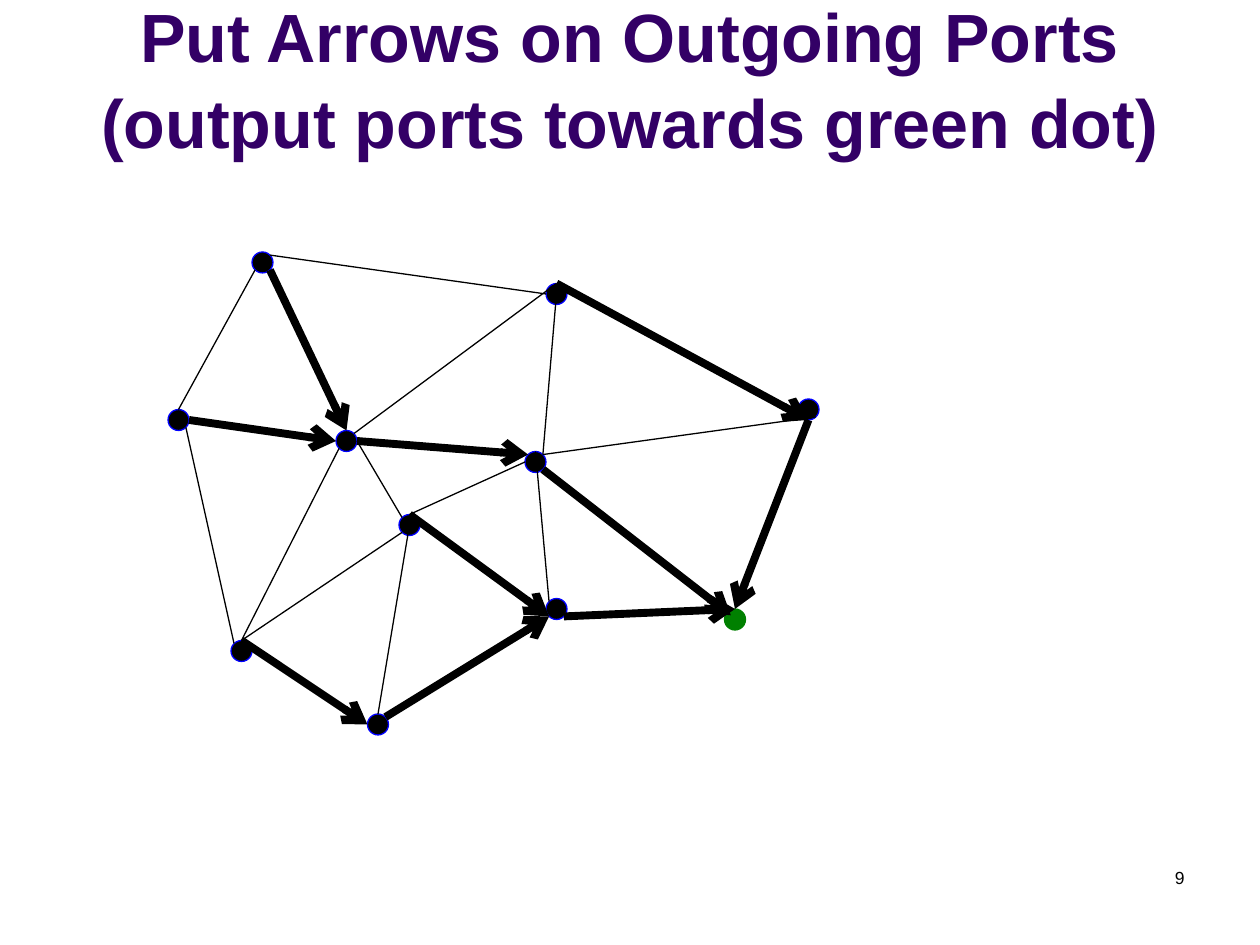
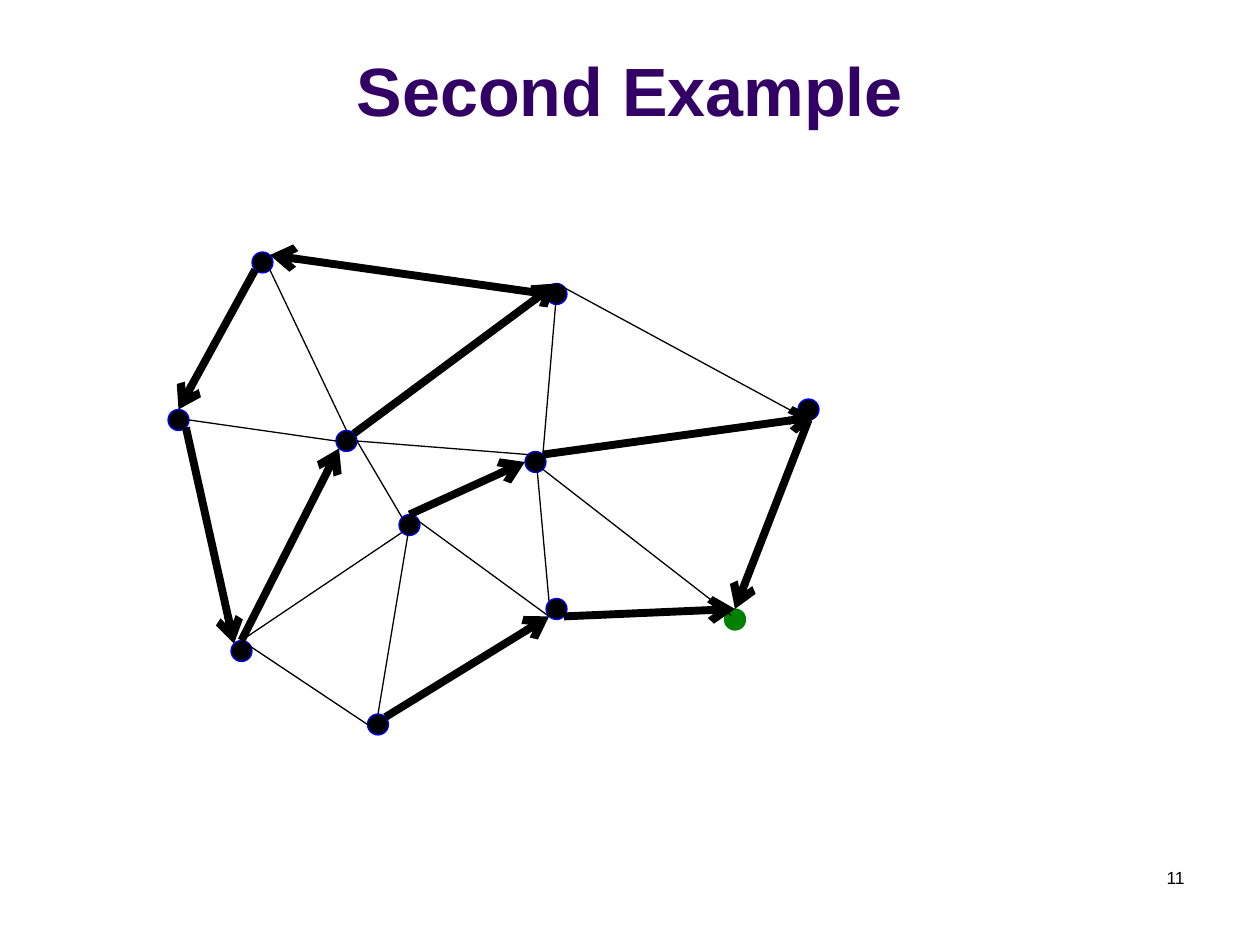
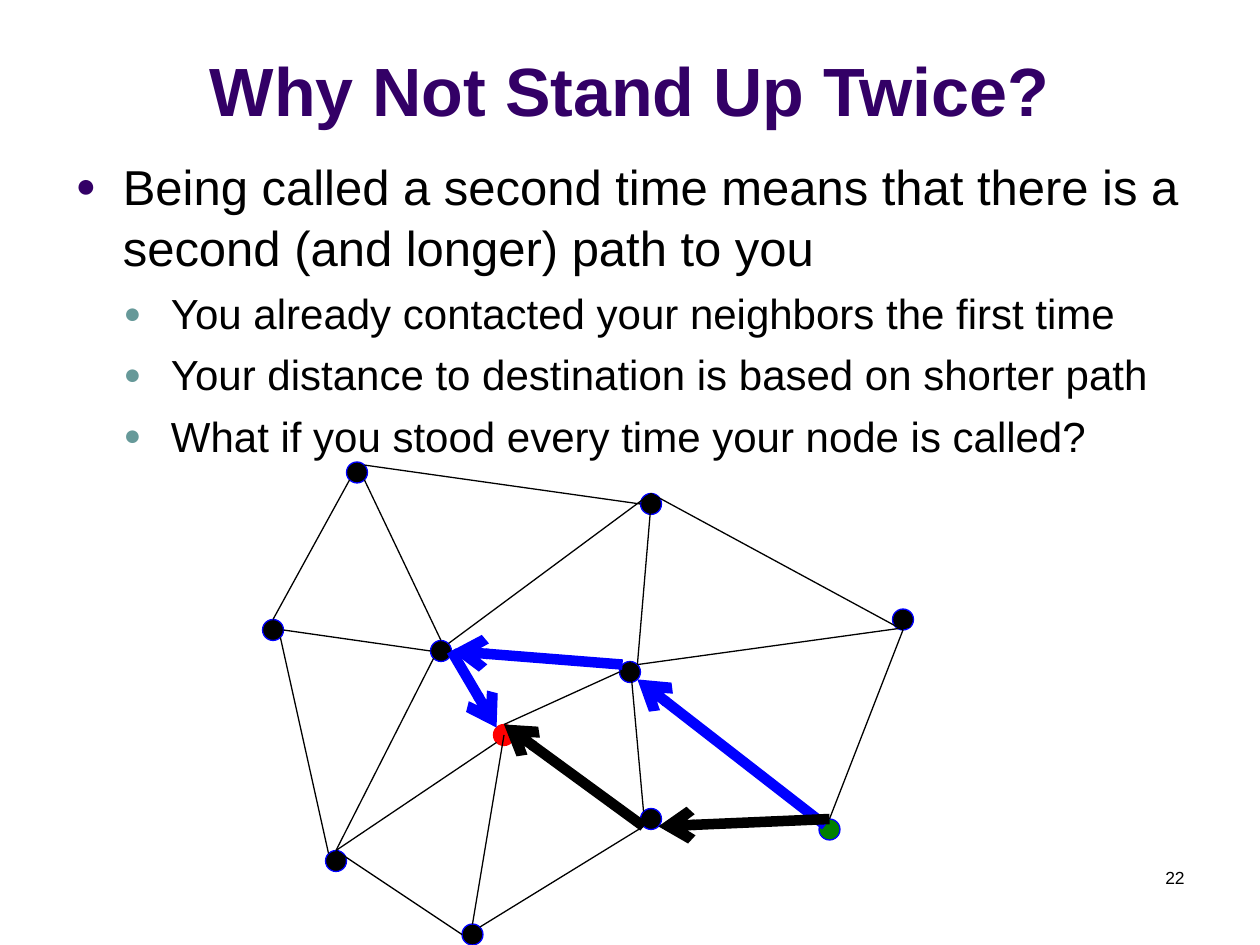
"""Builds three slides about routing on a network graph."""
from typing import NamedTuple

from lxml import etree
from pptx import Presentation
from pptx.dml.color import RGBColor
from pptx.enum.shapes import MSO_CONNECTOR, MSO_SHAPE
from pptx.enum.text import MSO_ANCHOR, MSO_AUTO_SIZE, PP_ALIGN
from pptx.oxml.ns import qn
from pptx.util import Pt

STRAIGHT = MSO_CONNECTOR.STRAIGHT
OVAL = MSO_SHAPE.OVAL
BOTTOM = MSO_ANCHOR.BOTTOM
FIXED = MSO_AUTO_SIZE.NONE
CENTER, RIGHT = PP_ALIGN.CENTER, PP_ALIGN.RIGHT

BLACK = RGBColor(0x00, 0x00, 0x00)
BLUE = RGBColor(0x00, 0x00, 0xFF)
GREEN = RGBColor(0x00, 0x80, 0x00)
RED = RGBColor(0xFF, 0x00, 0x00)
PURPLE = RGBColor(0x33, 0x00, 0x66)
TEAL = RGBColor(0x66, 0x99, 0x99)

FONT = "Arial"
LEADING = 1.05
RADIUS = 6
SLANT = 4.24
THIN = 0.75


class Edge(NamedTuple):
    """A link between two nodes, with the spot it touches on each."""
    start: str
    out: str
    end: str
    into: str


class Look(NamedTuple):
    """Fill and outline of a dot."""
    fill: RGBColor
    line: RGBColor


class Arrow(NamedTuple):
    """Colour and width of an arrow."""
    color: RGBColor
    width: float


class Level(NamedTuple):
    """Format of one list level."""
    size: float
    indent: float
    bullet: RGBColor


class Item(NamedTuple):
    """One entry of a list."""
    level: int
    text: str


SPOTS = {
    "N": (0, -RADIUS), "S": (0, RADIUS), "W": (-RADIUS, 0), "E": (RADIUS, 0),
    "NE": (SLANT, -SLANT), "NW": (-SLANT, -SLANT),
    "SE": (SLANT, SLANT), "SW": (-SLANT, SLANT),
    "MID": (0, 0), "INNER": (-2.4, -2.4),
}
NODES = {
    "A": (150, 150), "B": (102, 240), "C": (318, 168), "D": (318, 348),
    "E": (216, 414), "F": (198, 252), "G": (462, 234), "H": (234, 300),
    "I": (138, 372), "J": (306, 264), "K": (420, 354),
}
EDGES = [
    Edge("A", "SE", "F", "N"), Edge("A", "SW", "B", "N"),
    Edge("B", "SE", "I", "NW"), Edge("F", "E", "H", "NW"),
    Edge("J", "SE", "K", "INNER"), Edge("C", "MID", "J", "NE"),
    Edge("C", "N", "G", "S"), Edge("G", "S", "K", "N"),
    Edge("I", "N", "E", "W"), Edge("H", "N", "D", "SW"),
    Edge("K", "N", "D", "SE"), Edge("J", "N", "D", "NW"),
    Edge("H", "MID", "E", "N"), Edge("F", "E", "J", "NW"),
    Edge("B", "E", "F", "W"), Edge("I", "N", "H", "SW"),
    Edge("E", "NE", "D", "SW"), Edge("I", "N", "F", "SW"),
    Edge("H", "N", "J", "W"), Edge("J", "NE", "G", "SE"),
    Edge("A", "NE", "C", "W"), Edge("F", "NE", "C", "N"),
]
PLAIN = Look(BLACK, BLUE)
GOAL = {"K": Look(GREEN, GREEN)}
PORT = Arrow(BLACK, 4.5)
SHORT = Arrow(BLACK, 6)
LONG = Arrow(BLUE, 6)

LEVELS = [Level(28, 27, PURPLE), Level(24, 54.5, TEAL)]
HANG = 27
ITEMS = [
    Item(0, "Being called a second time means that there is a second "
            "(and longer) path to you"),
    Item(1, "You already contacted your neighbors the first time"),
    Item(1, "Your distance to destination is based on shorter path"),
    Item(1, "What if you stood every time your node is called?"),
]


def place(shape, left: float, top: float, width: float, height: float) -> None:
    """Move and size a shape."""
    shape.left, shape.top = Pt(left), Pt(top)
    shape.width, shape.height = Pt(width), Pt(height)


def write(para, text: str, size: float, color: RGBColor, bold: bool = False) -> None:
    """Add one run to a paragraph."""
    run = para.add_run()
    run.text = text
    run.font.name, run.font.size, run.font.bold = FONT, Pt(size), bold
    run.font.color.rgb = color


def start(deck, layout: int, lines: list[str], top: float, number: str):
    """Add a slide with its title and page number."""
    slide = deck.slides.add_slide(deck.slide_layouts[layout])
    title = slide.shapes.title
    place(title, 0, top, 720, 68.4)
    frame = title.text_frame
    frame.auto_size, frame.vertical_anchor = FIXED, BOTTOM
    para = frame.paragraphs[0]
    para.alignment, para.line_spacing = CENTER, LEADING
    for index, line in enumerate(lines):
        if index:
            para.add_line_break()
        write(para, line, 39, PURPLE, True)
    box = slide.shapes.add_textbox(Pt(516), Pt(492), Pt(168), Pt(36))
    box.text_frame.word_wrap = True
    para = box.text_frame.paragraphs[0]
    para.alignment = RIGHT
    write(para, number, 10, BLACK)
    return slide


def bullet(para, level: Level) -> None:
    """Give a paragraph its indent and bullet."""
    props = para._p.get_or_add_pPr()
    props.set("marL", str(Pt(level.indent)))
    props.set("indent", str(-Pt(HANG)))
    color = etree.SubElement(props, qn("a:buClr"))
    etree.SubElement(color, qn("a:srgbClr"), val=str(level.bullet))
    etree.SubElement(props, qn("a:buSzPct"), val="70000")
    etree.SubElement(props, qn("a:buFont"), typeface=FONT)
    etree.SubElement(props, qn("a:buChar"), char="●")


def fill_list(body, items: list[Item]) -> None:
    """Write the list into the body placeholder."""
    place(body, 36, 84, 672, 381)
    frame = body.text_frame
    frame.auto_size = FIXED
    for index, item in enumerate(items):
        para = frame.add_paragraph() if index else frame.paragraphs[0]
        level = LEVELS[item.level]
        para.level, para.line_spacing = item.level, LEADING
        para.space_before = Pt(level.size * 0.2 if index else 0)
        bullet(para, level)
        write(para, item.text, level.size, BLACK)


def draw_dot(shapes, x: float, y: float, look: Look) -> None:
    """Draw a node centred on a point."""
    dot = shapes.add_shape(OVAL, Pt(x - RADIUS), Pt(y - RADIUS),
                           Pt(2 * RADIUS), Pt(2 * RADIUS))
    dot.shadow.inherit = False
    dot.fill.solid()
    dot.fill.fore_color.rgb = look.fill
    dot.line.color.rgb, dot.line.width = look.line, Pt(THIN)


def draw_line(shapes, tail: tuple, tip: tuple, arrow: Arrow | None) -> None:
    """Draw a thin link, or an arrow when one is given."""
    line = shapes.add_connector(STRAIGHT, *(Pt(n) for n in (*tail, *tip)))
    etree.SubElement(line._element.spPr, qn("a:effectLst"))
    line.line.color.rgb = arrow.color if arrow else BLACK
    line.line.width = Pt(arrow.width if arrow else THIN)
    if arrow:
        etree.SubElement(line.line._get_or_add_ln(), qn("a:tailEnd"), type="arrow")


def draw_graph(shapes, looks: dict[str, Look], arrows: dict[str, Arrow],
               dx: float = 0, dy: float = 0) -> None:
    """Draw all nodes and edges; arrows are keyed by from and to node."""
    for name, (x, y) in NODES.items():
        draw_dot(shapes, x + dx, y + dy, looks.get(name, PLAIN))

    def find(name: str, spot: str) -> tuple:
        """Find where an edge touches a node."""
        (x, y), (right, down) = NODES[name], SPOTS[spot]
        return x + right + dx, y + down + dy

    for edge in EDGES:
        tail, tip = find(edge.start, edge.out), find(edge.end, edge.into)
        back = arrows.get(edge.end + edge.start)
        if back:
            tail, tip = tip, tail
        draw_line(shapes, tail, tip, back or arrows.get(edge.start + edge.end))


def main() -> None:
    """Build and save the deck."""
    deck = Presentation()
    deck.slide_width, deck.slide_height = Pt(720), Pt(540)

    lines = ["Put Arrows on Outgoing Ports", "(output ports towards green dot)"]
    slide = start(deck, 5, lines, 28, "9")
    ports = "AF BF FJ JK CG GK IE HD ED DK".split()
    draw_graph(slide.shapes, GOAL, dict.fromkeys(ports, PORT))

    slide = start(deck, 5, ["Second Example"], 9.4, "11")
    ports = "AB BI IF FC CA HJ JG GK ED DK".split()
    draw_graph(slide.shapes, GOAL, dict.fromkeys(ports, PORT))

    slide = start(deck, 1, ["Why Not Stand Up Twice?"], 9.4, "22")
    fill_list(slide.placeholders[1], ITEMS)
    looks = {"K": Look(GREEN, BLUE), "H": Look(RED, RED)}
    paths = {"KJ": LONG, "JF": LONG, "FH": LONG, "KD": SHORT, "DH": SHORT}
    draw_graph(slide.shapes.add_group_shape().shapes, looks, paths, 54, 120)

    deck.save("out.pptx")


if __name__ == "__main__":
    main()
